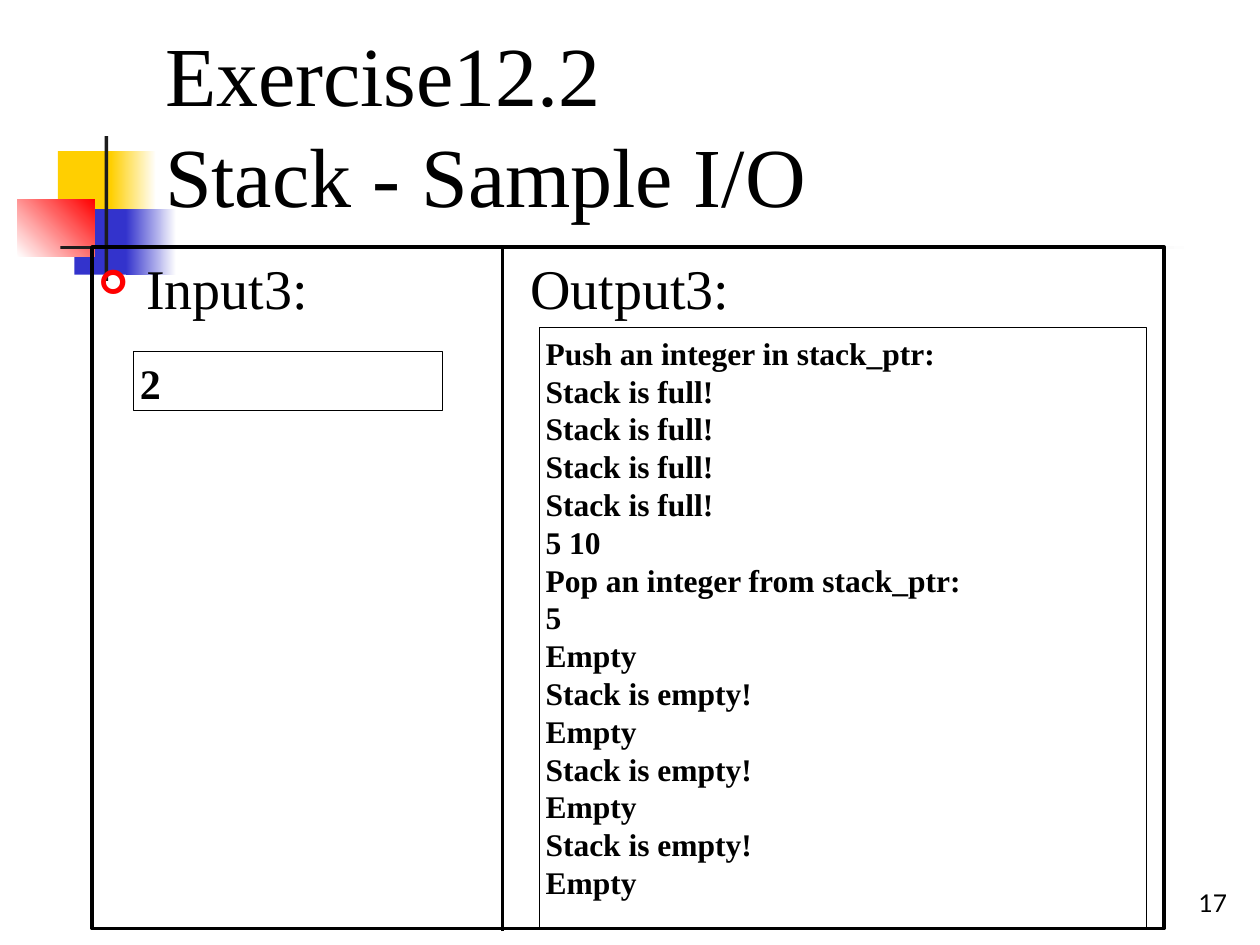
from lxml.etree import SubElement
from pptx import Presentation
from pptx.dml.color import RGBColor
from pptx.enum.shapes import MSO_CONNECTOR, MSO_SHAPE
from pptx.enum.text import MSO_ANCHOR, MSO_AUTO_SIZE, PP_ALIGN
from pptx.oxml.ns import qn
from pptx.util import Inches, Pt

SERIF = "Times New Roman"
BLACK = "000000"


def color(value):
    return RGBColor.from_string(value)


def write(frame, lines, size, font=SERIF, bold=False, align=PP_ALIGN.LEFT,
          anchor=MSO_ANCHOR.TOP, wrap=True):
    frame.auto_size = MSO_AUTO_SIZE.NONE
    frame.word_wrap = wrap
    frame.vertical_anchor = anchor
    frame.margin_left = frame.margin_right = Inches(0.05)
    frame.margin_top = frame.margin_bottom = Inches(0.05)
    for i, line in enumerate(lines):
        paragraph = frame.add_paragraph() if i else frame.paragraphs[0]
        paragraph.alignment = align
        run = paragraph.add_run()
        run.text = line
        run.font.name, run.font.size, run.font.bold = font, Pt(size), bold
        run.font.color.rgb = color(BLACK)


prs = Presentation()
prs.slide_width, prs.slide_height = Inches(10), Inches(7.5)
slide = prs.slides.add_slide(prs.slide_layouts[1])
shapes = slide.shapes

# Decorative blocks and bars: box, colours from start to end, angle
ornaments = [
    ((0.46, 1.2, 0.48, 0.52), ["FFCF01"], 0),
    ((0.88, 1.2, 0.36, 0.52), ["FFCF01", "FFFFFF"], 0),
    ((0.59, 1.66, 0.46, 0.52), ["3333CC"], 0),
    ((1, 1.66, 0.4, 0.52), ["3333CC", "FFFFFF"], 0),
    ((0.14, 1.58, 0.61, 0.46), ["FFFFFF", "FF0000"], 45),
    ((0.83, 1.08, 0.03, 1.15), ["1C1C1C"], 0),
    ((0.48, 1.95, 9, 0.03), ["1C1C1C", "FFFFFF"], 0),
]
for box, colors, angle in ornaments:
    ornament = shapes.add_shape(MSO_SHAPE.RECTANGLE, *map(Inches, box))
    ornament.shadow.inherit = False
    ornament.line.fill.background()
    if len(colors) == 1:
        ornament.fill.solid()
        ornament.fill.fore_color.rgb = color(colors[0])
    else:
        ornament.fill.gradient()
        ornament.fill.gradient_angle = angle
        for stop, value in zip(ornament.fill.gradient_stops, colors):
            stop.color.rgb = color(value)

# Title and framed headings, brought in front of the ornaments
title, headings = shapes.title, slide.placeholders[1]
for placeholder, box in ((headings, (0.73, 1.96, 8.51, 5.41)),
                         (title, (1.26, 0.23, 8.52, 1.6))):
    placeholder.element.getparent().append(placeholder.element)
    (placeholder.left, placeholder.top,
     placeholder.width, placeholder.height) = map(Inches, box)
write(title.text_frame, ["Exercise12.2", "Stack - Sample I/O"], 48,
      anchor=MSO_ANCHOR.BOTTOM)
write(headings.text_frame, ["Input3:\tOutput3:"], 32)
headings.line.color.rgb = color(BLACK)
headings.line.width = Pt(2)

# Red arrow bullet, and a tab stop that starts the output column
heading = headings.text_frame.paragraphs[0]
heading.space_before = Pt(7)
props = heading._p.get_or_add_pPr()
props.set("marL", str(Inches(0.38)))
props.set("indent", str(Inches(-0.38)))
bullet_color = SubElement(props, qn("a:buClr"))
SubElement(bullet_color, qn("a:srgbClr"), val="FF0000")
SubElement(props, qn("a:buSzPct"), val="60000")
SubElement(props, qn("a:buFont"), typeface="Wingdings")
SubElement(props, qn("a:buChar"), char="➢")
tabs = SubElement(props, qn("a:tabLst"))
SubElement(tabs, qn("a:tab"), pos=str(Inches(3.43)), algn="l")

# Page number
page_number = shapes.add_textbox(*map(Inches, (9.46, 6.99, 0.33, 0.34)))
write(page_number.text_frame, ["17"], 14, font="Lato", align=PP_ALIGN.RIGHT,
      anchor=MSO_ANCHOR.BOTTOM, wrap=False)

# Sample output and input
output_lines = (["Push an integer in stack_ptr:"] + ["Stack is full!"] * 4
                + ["5 10", "Pop an integer from stack_ptr:", "5"]
                + ["Empty", "Stack is empty!"] * 3 + ["Empty"])
for box, lines, size in (((4.28, 2.6, 4.82, 4.77), output_lines, 18),
                         ((1.06, 2.79, 2.45, 0.47), ["2"], 24)):
    sample = shapes.add_shape(MSO_SHAPE.RECTANGLE, *map(Inches, box))
    sample.shadow.inherit = False
    sample.fill.background()
    sample.line.color.rgb = color(BLACK)
    sample.line.width = Pt(0.75)
    write(sample.text_frame, lines, size, bold=True)

# Divider between input and output
divider = shapes.add_connector(MSO_CONNECTOR.STRAIGHT, Inches(3.99),
                               Inches(7.39), Inches(3.99), Inches(1.95))
divider.line.color.rgb = color(BLACK)
divider.line.width = Pt(2)
SubElement(divider.element.spPr, qn("a:effectLst"))

prs.save("out.pptx")
